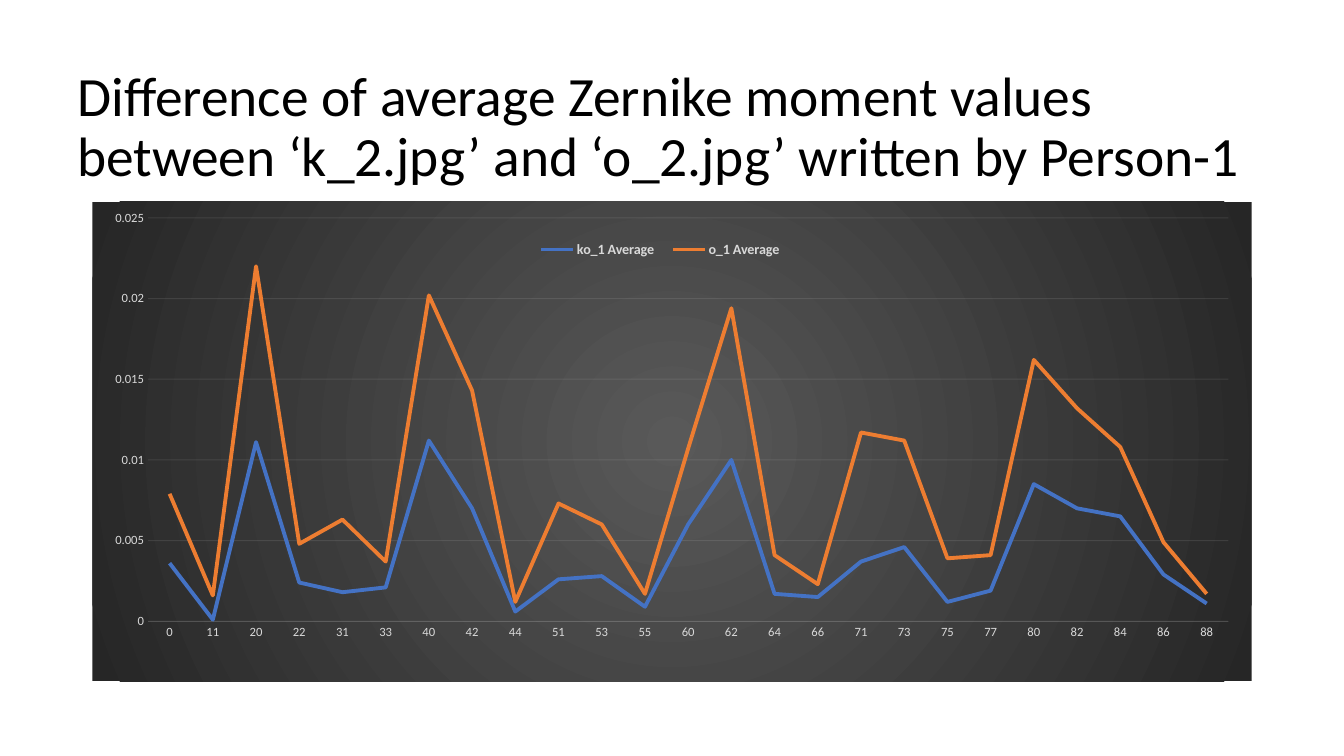
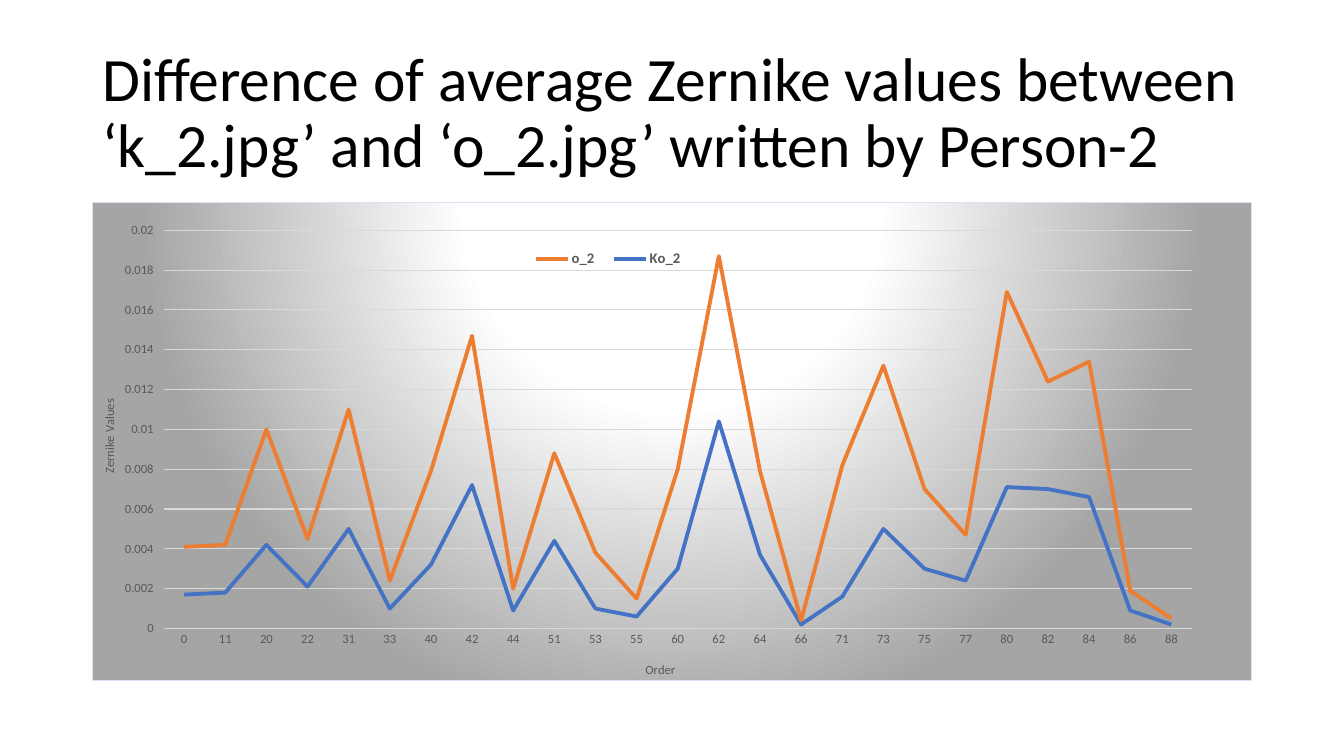
from dataclasses import dataclass
from typing import Optional

from lxml import etree
from pptx import Presentation
from pptx.chart.data import CategoryChartData
from pptx.dml.color import RGBColor
from pptx.enum.chart import XL_CHART_TYPE, XL_LEGEND_POSITION, XL_TICK_MARK
from pptx.enum.text import MSO_ANCHOR
from pptx.oxml import parse_xml
from pptx.oxml.ns import nsdecls, qn
from pptx.util import Pt

LINE_STACKED = XL_CHART_TYPE.LINE_STACKED
BOTTOM, RIGHT = XL_LEGEND_POSITION.BOTTOM, XL_LEGEND_POSITION.RIGHT
TICK_NONE, TICK_OUT = XL_TICK_MARK.NONE, XL_TICK_MARK.OUTSIDE
MIDDLE = MSO_ANCHOR.MIDDLE

FONT = "Calibri"
BLACK = RGBColor(0x00, 0x00, 0x00)
WHITE = RGBColor(0xFF, 0xFF, 0xFF)
BLUE = RGBColor(0x44, 0x72, 0xC4)
ORANGE = RGBColor(0xED, 0x7D, 0x31)
PALE_BLUE = RGBColor(0xDA, 0xE3, 0xF3)
OFF_WHITE = RGBColor(0xF2, 0xF2, 0xF2)
LIGHT_GREY = RGBColor(0xD9, 0xD9, 0xD9)
MID_GREY = RGBColor(0xA5, 0xA5, 0xA5)
DARK_GREY = RGBColor(0x59, 0x59, 0x59)
CHARCOAL = RGBColor(0x26, 0x26, 0x26)

SLIDE_W, SLIDE_H = 960, 540
CHART_BOX = (66, 144, 828, 342.7)
SERIES_COLORS = (BLUE, ORANGE)

# Zernike orders n, m with m <= n and n - m even
ORDERS = ["0"] + [f"{n}{m}" for n in range(1, 9) for m in range(n % 2, n + 1, 2)]


@dataclass
class Title:
    text: str
    box: tuple[float, float, float, float]
    size: float


@dataclass
class Gradient:
    stops: list[tuple[int, RGBColor]]  # percent, colour
    focus: tuple[int, int, int, int]  # left, top, right, bottom in percent


@dataclass
class AxisTitle:
    text: str
    at: tuple[float, float]


@dataclass
class ChartStyle:
    gradient: Gradient
    border: Optional[RGBColor]
    text_color: RGBColor
    grid_color: RGBColor
    grid_alpha: int  # percent
    axis_width: float
    value_max: float
    value_step: float
    value_tick: XL_TICK_MARK
    plot: tuple[float, float, float, float]
    legend_side: XL_LEGEND_POSITION
    legend_box: tuple[float, float, float, float]
    legend_size: float
    order_title: Optional[AxisTitle] = None
    value_title: Optional[AxisTitle] = None


@dataclass
class Page:
    title: Title
    style: ChartStyle
    series: dict[str, list[float]]


PAGES = [
    Page(
        Title("Difference of average Zernike moment values between "
              "‘k_2.jpg’ and ‘o_2.jpg’ written by Person-1",
              (48.2, 39.6, 846, 104.4), 39.6),
        ChartStyle(
            gradient=Gradient([(0, DARK_GREY), (100, CHARCOAL)], (50, 50, 50, 50)),
            border=None, text_color=LIGHT_GREY,
            grid_color=OFF_WHITE, grid_alpha=10, axis_width=0.75,
            value_max=0.025, value_step=0.005, value_tick=TICK_NONE,
            plot=(0.048, 0.034, 0.932, 0.841),
            legend_side=BOTTOM, legend_box=(0.375, 0.075, 0.23, 0.05),
            legend_size=10.1),
        {
            "ko_1 Average": [
                0.0036, 0.0001, 0.0111, 0.0024, 0.0018, 0.0021, 0.0112, 0.007, 0.0006,
                0.0026, 0.0028, 0.0009, 0.006, 0.01, 0.0017, 0.0015, 0.0037, 0.0046,
                0.0012, 0.0019, 0.0085, 0.007, 0.0065, 0.0029, 0.0011],
            "o_1 Average": [
                0.0043, 0.0015, 0.0109, 0.0024, 0.0045, 0.0016, 0.009, 0.0073, 0.0006,
                0.0047, 0.0032, 0.0008, 0.0047, 0.0094, 0.0024, 0.0008, 0.008, 0.0066,
                0.0027, 0.0022, 0.0077, 0.0062, 0.0043, 0.002, 0.0006],
        }),
    Page(
        Title("Difference of average Zernike values between "
              "‘k_2.jpg’ and ‘o_2.jpg’ written by Person-2",
              (66, 29.5, 828, 104.4), 44),
        ChartStyle(
            gradient=Gradient([(0, WHITE), (33, WHITE), (85, MID_GREY)],
                              (50, -80, 50, 180)),
            border=PALE_BLUE, text_color=DARK_GREY,
            grid_color=LIGHT_GREY, grid_alpha=100, axis_width=1,
            value_max=0.02, value_step=0.002, value_tick=TICK_OUT,
            plot=(0.061, 0.059, 0.888, 0.832),
            legend_side=RIGHT, legend_box=(0.37, 0.094, 0.15, 0.05),
            legend_size=10.5,
            order_title=AxisTitle("Order", (0.475, 0.955)),
            value_title=AxisTitle("Zernike Values", (0.005, 0.407))),
        {
            "Ko_2": [
                0.0017, 0.0018, 0.0042, 0.0021, 0.005, 0.001, 0.0032, 0.0072, 0.0009,
                0.0044, 0.001, 0.0006, 0.003, 0.0104, 0.0037, 0.0002, 0.0016, 0.005,
                0.003, 0.0024, 0.0071, 0.007, 0.0066, 0.0009, 0.0002],
            "o_2": [
                0.0024, 0.0024, 0.0058, 0.0024, 0.006, 0.0014, 0.0047, 0.0075, 0.0011,
                0.0044, 0.0028, 0.0009, 0.005, 0.0083, 0.0042, 0.0002, 0.0066, 0.0082,
                0.004, 0.0023, 0.0098, 0.0054, 0.0068, 0.001, 0.0003],
        }),
]


# Formatting helpers
def set_font(font, size: float, color: RGBColor, bold: bool = False) -> None:
    font.name, font.size, font.bold = FONT, Pt(size), bold
    font.color.rgb = color


def set_line(line, color: RGBColor, width: float, alpha: int = 100) -> None:
    line.color.rgb = color
    line.width = Pt(width)
    if alpha < 100:
        for clr in line._ln.iter(qn("a:srgbClr")):
            etree.SubElement(clr, qn("a:alpha")).set("val", str(alpha * 1000))


def set_layout(parent, index: int, place: tuple, inner: bool = False) -> None:
    """Place a chart part by fractions of the chart area."""
    for old in parent.findall(qn("c:layout")):
        parent.remove(old)
    names = ("x", "y", "w", "h")[:len(place)]
    target = '<c:layoutTarget val="inner"/>' if inner else ""
    modes = "".join(f'<c:{n}Mode val="edge"/>' for n in names[:2])
    values = "".join(f'<c:{n} val="{v}"/>' for n, v in zip(names, place))
    parent.insert(index, parse_xml(
        f'<c:layout {nsdecls("c")}><c:manualLayout>{target}{modes}{values}'
        f'</c:manualLayout></c:layout>'))


def set_background(chart, style: ChartStyle) -> None:
    stops = "".join(f'<a:gs pos="{pos * 1000}"><a:srgbClr val="{color}"/></a:gs>'
                    for pos, color in style.gradient.stops)
    focus = " ".join(f'{side}="{v * 1000}"'
                     for side, v in zip("ltrb", style.gradient.focus))
    border = "<a:noFill/>"
    if style.border is not None:
        border = f'<a:solidFill><a:srgbClr val="{style.border}"/></a:solidFill>'
    space = chart._chartSpace
    space.find(qn("c:chart")).addnext(parse_xml(
        f'<c:spPr {nsdecls("c", "a")}><a:gradFill><a:gsLst>{stops}</a:gsLst>'
        f'<a:path path="circle"><a:fillToRect {focus}/></a:path></a:gradFill>'
        f'<a:ln w="{Pt(0.75)}">{border}</a:ln></c:spPr>'))
    plot_area = space.find(f'{qn("c:chart")}/{qn("c:plotArea")}')
    plot_area.append(parse_xml(
        f'<c:spPr {nsdecls("c", "a")}><a:noFill/></c:spPr>'))
    set_layout(plot_area, 0, style.plot, inner=True)


def format_axis(axis, style: ChartStyle, title: Optional[AxisTitle]) -> None:
    set_font(axis.tick_labels.font, 9, style.text_color)
    axis.minor_tick_mark = TICK_NONE
    axis.has_title = title is not None
    if title:
        tf = axis.axis_title.text_frame
        r = tf.paragraphs[0].add_run()
        r.text = title.text
        set_font(r.font, 9, style.text_color)
        set_layout(axis.axis_title._element, 1, title.at)


# Slide parts
def add_title(s, title: Title) -> None:
    tf = s.shapes.add_textbox(*map(Pt, title.box)).text_frame
    tf.word_wrap = True
    tf.vertical_anchor = MIDDLE
    p = tf.paragraphs[0]
    p.line_spacing = 0.9
    r = p.add_run()
    r.text = title.text
    set_font(r.font, title.size, BLACK)


def add_line_chart(s, style: ChartStyle, series: dict[str, list[float]]) -> None:
    data = CategoryChartData()
    data.categories = ORDERS
    for name, values in series.items():
        data.add_series(name, values)
    chart = s.shapes.add_chart(LINE_STACKED, *map(Pt, CHART_BOX), data).chart
    chart.has_title = False
    set_font(chart.font, 10, BLACK)
    set_background(chart, style)

    # Lines
    plot = chart.plots[0]
    plot.vary_by_categories = False
    for ser, color in zip(plot.series, SERIES_COLORS):
        ser.smooth = False
        set_line(ser.format.line, color, 2.75)

    # Axes
    orders, values = chart.category_axis, chart.value_axis
    format_axis(orders, style, style.order_title)
    format_axis(values, style, style.value_title)
    orders.major_tick_mark = TICK_NONE
    set_line(orders.format.line, style.grid_color, style.axis_width, style.grid_alpha)
    values.major_tick_mark = style.value_tick
    values.minimum_scale, values.maximum_scale = 0, style.value_max
    values.major_unit = style.value_step
    values.format.line.fill.background()
    set_line(values.major_gridlines.format.line,
             style.grid_color, 0.75, style.grid_alpha)

    # Legend
    chart.has_legend = True
    legend = chart.legend
    legend.position = style.legend_side
    legend.include_in_layout = False
    set_font(legend.font, style.legend_size, style.text_color, bold=True)
    set_layout(legend._element, 1, style.legend_box)


def main() -> None:
    prs = Presentation()
    prs.slide_width, prs.slide_height = Pt(SLIDE_W), Pt(SLIDE_H)
    blank = prs.slide_layouts[6]
    for page in PAGES:
        s = prs.slides.add_slide(blank)
        add_title(s, page.title)
        add_line_chart(s, page.style, page.series)
    prs.save("out.pptx")


if __name__ == "__main__":
    main()
